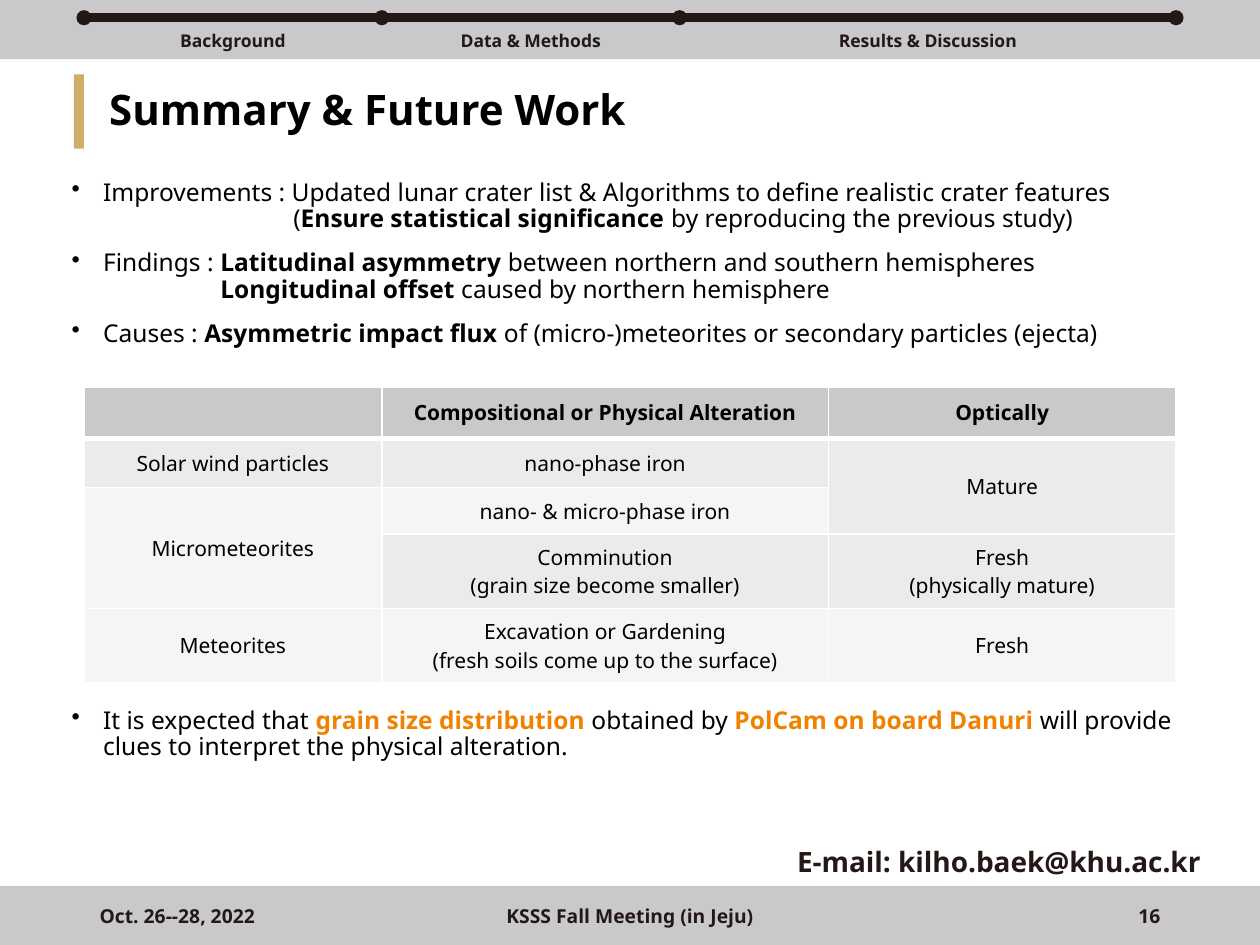
from itertools import pairwise

from lxml.etree import SubElement
from pptx import Presentation
from pptx.dml.color import RGBColor
from pptx.enum.shapes import MSO_SHAPE as SHAPE
from pptx.enum.text import MSO_ANCHOR as ANCHOR, MSO_AUTO_SIZE as AUTO, PP_ALIGN as ALIGN
from pptx.oxml import parse_xml
from pptx.oxml.ns import nsdecls, qn
from pptx.util import Inches, Pt

W, H = 10, 7.5
MARGIN = W / 15
CONTENT = W - 2 * MARGIN
COL = CONTENT / 11
BAND = H / 16
FONT = "Noto Sans"
COLORS = {"band": "C9C9CB", "ink": "231816", "gold": "CFAC6A", "text": "000000",
          "accent": "F18101", "odd": "EBEBEC", "even": "F5F5F6", "rule": "FFFFFF"}
SECTIONS = [("Background", 3), ("Data & Methods", 3), ("Results & Discussion", 5)]
# Each paragraph: (left indent, bulleted, [(text, style)])
FINDINGS = [
    (0.25, True, [("Improvements : Updated lunar crater list & Algorithms to define "
                   "realistic crater features", "")]),
    (1.76, False, [("(", ""), ("Ensure statistical significance", "bold"),
                   (" by reproducing the previous study)", "")]),
    (0.25, True, [("Findings : ", ""), ("Latitudinal asymmetry", "bold"),
                  (" between northern and southern hemispheres", "")]),
    (1.18, False, [("Longitudinal offset", "bold"),
                   (" caused by northern hemisphere", "")]),
    (0.25, True, [("Causes : ", ""), ("Asymmetric impact flux", "bold"),
                  (" of (micro-)meteorites or secondary particles (ejecta)", "")]),
]
OUTLOOK = [
    (0.25, True, [("It is expected that ", ""), ("grain size distribution", "accent"),
                  (" obtained by ", ""), ("PolCam on board Danuri", "accent"),
                  (" will provide clues to interpret the physical alteration.", "")]),
]
ROWS = [
    ["", "Compositional or Physical Alteration", "Optically"],
    ["Solar wind particles", "nano-phase iron", "Mature"],
    ["Micrometeorites", "nano- & micro-phase iron", ""],
    ["", "Comminution\n(grain size become smaller)", "Fresh\n(physically mature)"],
    ["Meteorites", "Excavation or Gardening\n(fresh soils come up to the surface)", "Fresh"],
]
MERGES = [((1, 2), (2, 2)), ((2, 0), (3, 0))]


def rgb(name):
    """Return the named colour."""
    return RGBColor.from_string(COLORS[name])


def add_run(p, text, size, color="text", bold=False):
    """Append one formatted run to a paragraph."""
    r = p.add_run()
    r.text = text
    r.font.name, r.font.size, r.font.bold = FONT, Pt(size), bold
    r.font.color.rgb = rgb(color)


def add_block(s, kind, x, y, w, h, color):
    """Add a plain filled shape without outline or shadow."""
    sp = s.shapes.add_shape(kind, *map(Inches, (x, y, w, h)))
    sp.shadow.inherit = False
    sp.fill.solid()
    sp.fill.fore_color.rgb = rgb(color)
    sp.line.fill.background()
    return sp


def add_label(s, x, y, w, h, text, size, align):
    """Add a bold single-line label centred vertically in its box."""
    tf = s.shapes.add_textbox(*map(Inches, (x, y, w, h))).text_frame
    tf.word_wrap, tf.vertical_anchor = True, ANCHOR.MIDDLE
    tf.margin_left = tf.margin_right = tf.margin_top = tf.margin_bottom = 0
    tf.paragraphs[0].alignment = align
    add_run(tf.paragraphs[0], text, size, "ink", True)


def add_progress(s, x, y, w, h):
    """Draw the band with the section rail, its nodes and its labels."""
    add_block(s, SHAPE.RECTANGLE, x, y, w, h, "band")
    dot, thick, rail_y = 0.12, 0.06, y + 0.3 * h
    nodes = [x + MARGIN]
    for _, span in SECTIONS:
        nodes.append(nodes[-1] + span * COL)
    for cx in nodes:
        add_block(s, SHAPE.OVAL, cx - dot / 2, rail_y - dot / 2, dot, dot, "ink")
    rail = add_block(s, SHAPE.RECTANGLE, nodes[0], rail_y - thick / 2, CONTENT, thick, "ink")
    rail.line.color.rgb, rail.line.width = rgb("ink"), Pt(1)
    for (name, _), (left, right) in zip(SECTIONS, pairwise(nodes)):
        add_label(s, left, y + 0.47 * h, right - left, 0.2, name, 10, ALIGN.CENTER)


def add_title(s, x, y, w, h, text):
    """Place the title placeholder and the gold bar on its left."""
    add_block(s, SHAPE.RECTANGLE, x - 0.08, y, 0.08, h, "gold")
    sp = s.shapes.title
    sp.left, sp.top, sp.width, sp.height = map(Inches, (x, y, w, h))
    tf = sp.text_frame
    tf.auto_size, tf.vertical_anchor = AUTO.NONE, ANCHOR.MIDDLE
    tf.margin_left = tf.margin_right = Inches(0.2)
    tf.margin_top = tf.margin_bottom = 0
    p = tf.paragraphs[0]
    p.alignment, p.line_spacing = ALIGN.LEFT, 0.9
    add_run(p, text, 24, bold=True)


def add_points(s, x, y, w, h, points):
    """Write bulleted points with aligned continuation lines."""
    tf = s.shapes.add_textbox(*map(Inches, (x, y, w, h))).text_frame
    tf.word_wrap = True
    for i, (indent, bulleted, runs) in enumerate(points):
        p = tf.add_paragraph() if i else tf.paragraphs[0]
        pPr = p._p.get_or_add_pPr()
        pPr.set("marL", str(Inches(indent)))
        pPr.set("indent", str(Inches(-0.25 if bulleted else 0)))
        if bulleted:
            SubElement(pPr, qn("a:buChar")).set("char", "•")
        p.line_spacing = 0.9
        p.space_before = Pt(10 if i and bulleted else 0)
        for text, style in runs:
            add_run(p, text, 14, "accent" if style == "accent" else "text", bool(style))


def set_borders(cell, top, bottom):
    """Give a cell white borders, one point wide at the sides."""
    tcPr = cell._tc.get_or_add_tcPr()
    for i, (side, width) in enumerate(zip("LRTB", (1, 1, top, bottom))):
        tcPr.insert(i, parse_xml(
            f'<a:ln{side} {nsdecls("a")} w="{Pt(width)}"><a:solidFill>'
            f'<a:srgbClr val="{COLORS["rule"]}"/></a:solidFill></a:ln{side}>'))


def add_alteration_table(s, x, y, w, h):
    """Build the table of alteration agents and their effects."""
    tbl = s.shapes.add_table(len(ROWS), len(ROWS[0]), *map(Inches, (x, y, w, h))).table
    for column, span in zip(tbl.columns, (3, 4.5, 3.5)):
        column.width = Inches(span * COL)
    for row, height in zip(tbl.rows, (0.41, 0.39, 0.37, 0.59, 0.59)):
        row.height = Inches(height)
    for i, row in enumerate(ROWS):
        for j, text in enumerate(row):
            cell = tbl.cell(i, j)
            cell.vertical_anchor = ANCHOR.MIDDLE
            cell.fill.solid()
            cell.fill.fore_color.rgb = rgb("band" if i == 0 else "odd" if i % 2 else "even")
            set_borders(cell, 3 if i == 1 else 1, 3 if i == 0 else 1)
            for k, line in enumerate(text.split("\n") if text else []):
                p = cell.text_frame.add_paragraph() if k else cell.text_frame.paragraphs[0]
                p.alignment = ALIGN.CENTER
                add_run(p, line, 12, bold=i == 0)
    for first, last in MERGES:
        tbl.cell(*first).merge(tbl.cell(*last))


def add_footer(s, x, y, w, h):
    """Draw the bottom band with date, meeting and slide number."""
    add_block(s, SHAPE.RECTANGLE, x, y, w, h, "band")
    inset = 0.79
    for text, align in (("Oct. 26--28, 2022", ALIGN.LEFT),
                        ("KSSS Fall Meeting (in Jeju)", ALIGN.CENTER),
                        ("16", ALIGN.RIGHT)):
        third = (w - 2 * inset) / 3
        step = (ALIGN.LEFT, ALIGN.CENTER, ALIGN.RIGHT).index(align)
        add_label(s, x + inset + step * third, y + h / 6, third, h * 2 / 3, text, 11, align)


def main():
    """Build the summary slide and save it."""
    prs = Presentation()
    prs.slide_width, prs.slide_height = Inches(W), Inches(H)
    s = prs.slides.add_slide(prs.slide_layouts[5])
    side = 0.47
    add_progress(s, 0, 0, W, BAND)
    add_footer(s, 0, H - BAND, W, BAND)
    add_label(s, W / 2, 6.67, W / 2 - side, 0.33, "E-mail: kilho.baek@khu.ac.kr", 16, ALIGN.RIGHT)
    add_title(s, MARGIN, 0.59, CONTENT, 0.59, "Summary & Future Work")
    add_points(s, side, 1.38, W - 2 * side, 1.6, FINDINGS)
    add_alteration_table(s, MARGIN, 3.07, CONTENT, 2.35)
    add_points(s, side, 5.57, W - 2 * side, 0.6, OUTLOOK)
    prs.save("out.pptx")


if __name__ == "__main__":
    main()
